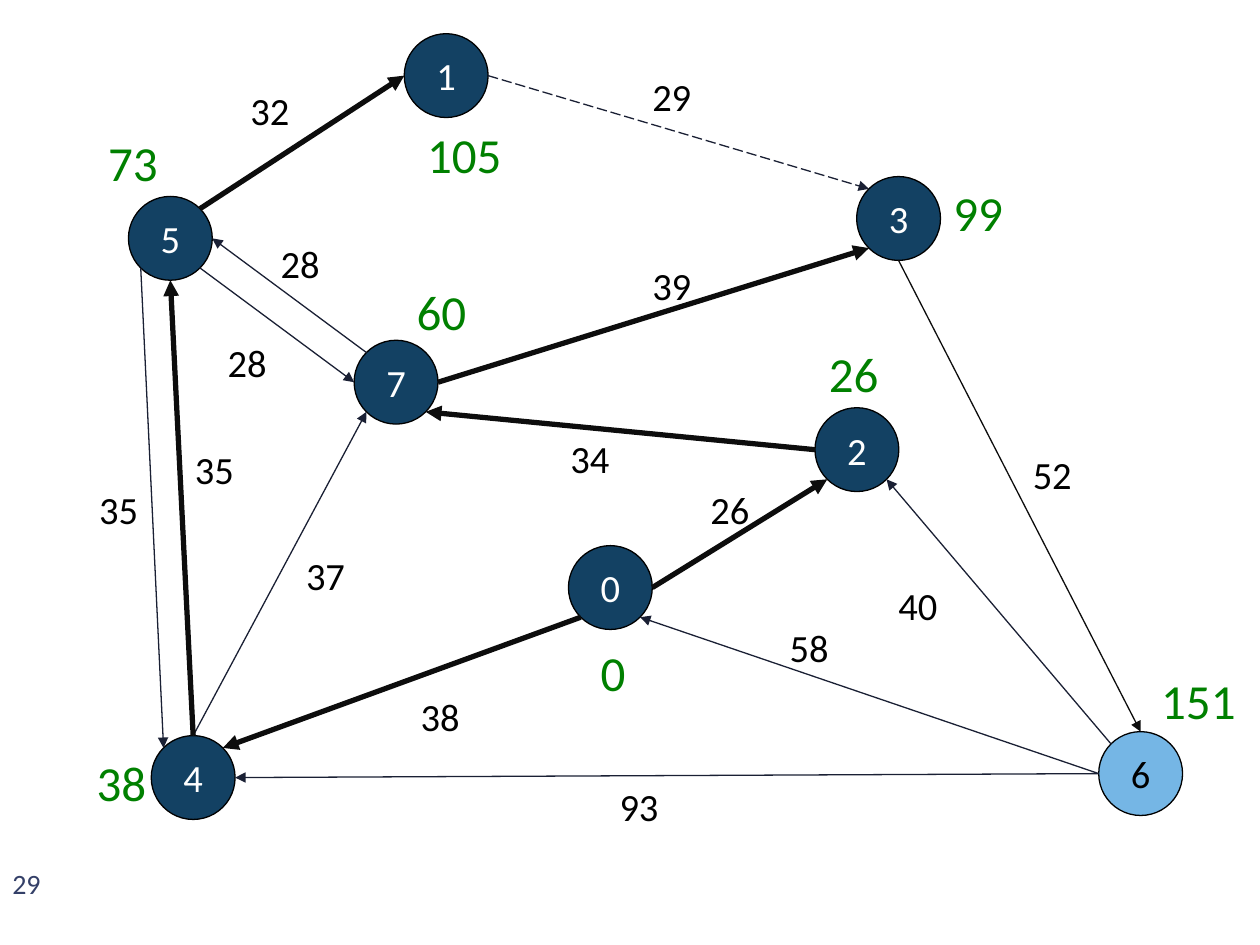
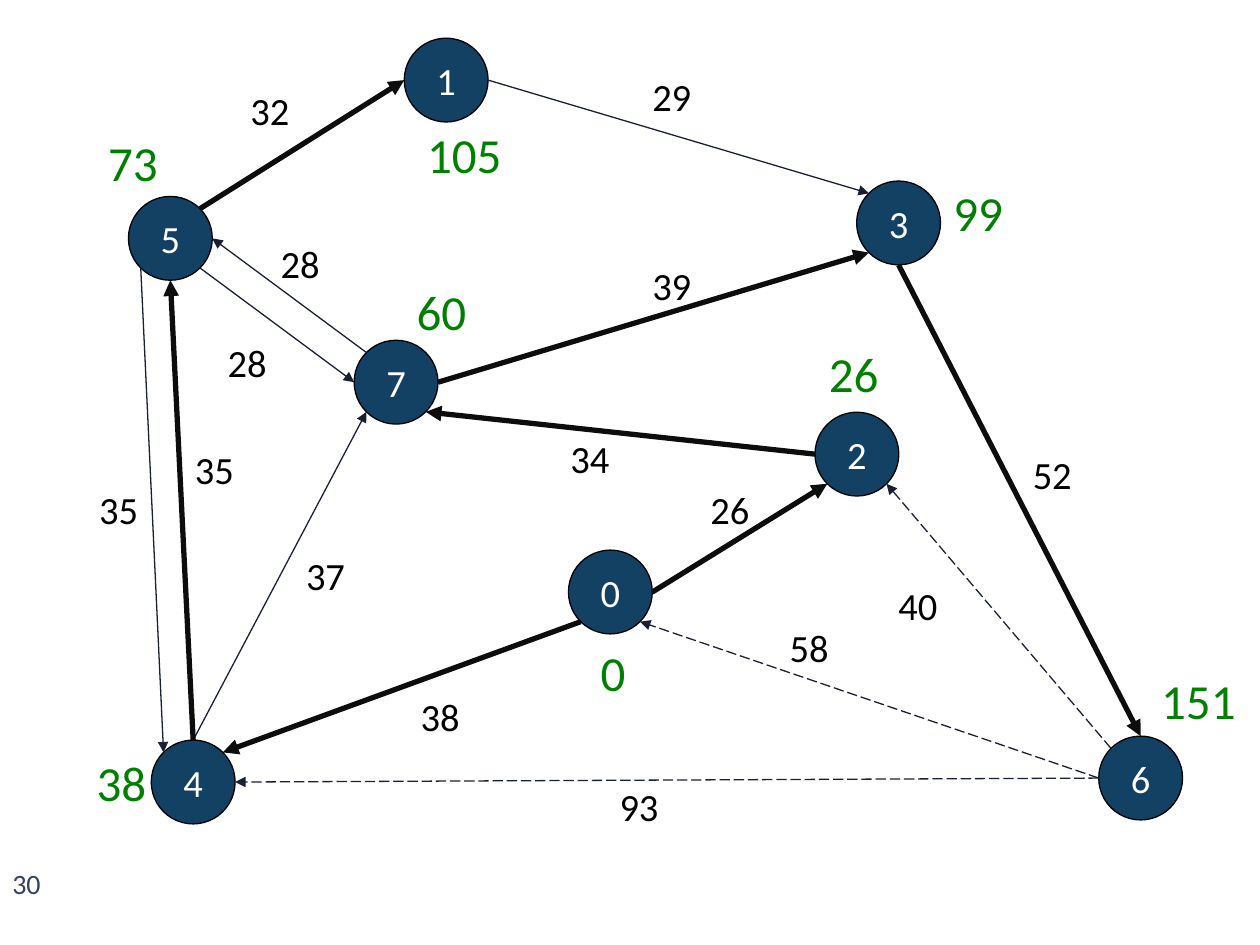
from math import cos, radians, sin

from lxml import etree
from pptx import Presentation
from pptx.dml.color import RGBColor
from pptx.enum.dml import MSO_LINE
from pptx.enum.shapes import MSO_CONNECTOR, MSO_SHAPE
from pptx.enum.text import MSO_ANCHOR, MSO_AUTO_SIZE, PP_ALIGN
from pptx.oxml.ns import qn
from pptx.util import Cm, Pt

OVAL = MSO_SHAPE.OVAL
STRAIGHT = MSO_CONNECTOR.STRAIGHT
LONG_DASH = MSO_LINE.LONG_DASH
MIDDLE = MSO_ANCHOR.MIDDLE
LEFT, CENTER = PP_ALIGN.LEFT, PP_ALIGN.CENTER
FIT_SHAPE = MSO_AUTO_SIZE.SHAPE_TO_FIT_TEXT

FONT = "Calibri"
BLACK, WHITE = "000000", "FFFFFF"
SETTLED_FILL, PENDING_FILL = "134163", "75B6E5"
TREE_COLOR, EDGE_COLOR = "0D0D0D", "1A2034"
DISTANCE_COLOR, NUMBER_COLOR = "008000", "344068"

DIAMETER = 1.69
ANGLES = {"E": 0, "SE": 45, "S": 90, "SW": 135, "W": 180, "NW": 225, "N": 270, "NE": 315}

# vertex: (left, top)
VERTICES = {
    0: (11.46, 11.0), 3: (17.27, 3.56), 4: (3.05, 14.83), 2: (16.43, 8.22),
    5: (2.59, 3.96), 6: (22.15, 14.75), 1: (8.15, 0.68), 7: (7.14, 6.86),
}
FIXED_VERTICES = {5, 7}

# start, side, end, side, weight, weight left, weight top
EDGES = [
    (6, "W", 4, "E", 93, 12.24, 15.67),
    (6, "W", 0, "SE", 58, 15.67, 12.45),
    (6, "NW", 2, "SE", 40, 17.86, 11.61),
    (3, "S", 6, "N", 52, 20.57, 8.97),
    (0, "E", 2, "SW", 26, 14.07, 9.68),
    (2, "W", 7, "SE", 34, 11.25, 8.64),
    (7, "E", 3, "SW", 39, 12.9, 5.16),
    (0, "SW", 4, "NE", 38, 8.23, 13.84),
    (4, "N", 7, "SW", 37, 5.92, 11.0),
    (4, "N", 5, "S", 35, 3.68, 8.86),
    (5, "SW", 4, "NW", 35, 1.75, 9.68),
    (7, "NW", 5, "E", 28, 5.41, 4.72),
    (5, "SE", 7, "W", 28, 4.34, 6.71),
    (5, "NE", 1, "W", 32, 4.8, 1.63),
    (1, "E", 3, "NW", 29, 12.9, 1.35),
]
TREE = {(0, 2), (2, 7), (7, 3), (0, 4), (4, 5), (5, 1), (3, 6)}

# distance, left, top
DISTANCES = [
    (0, 11.86, 12.83), (99, 18.97, 3.56), (105, 8.36, 2.39), (73, 1.93, 2.54),
    (60, 8.15, 5.56), (26, 16.46, 6.81), (151, 23.16, 13.39), (38, 1.7, 15.04),
]

# slide number, vertex being relaxed, vertices still pending, downward shift
STEPS = [(29, 1, {6}, 0), (30, 6, set(), 0.09)]


def color(hex_string):
    """Turn a hex string into a colour."""
    return RGBColor.from_string(hex_string)


def write(shape, text, size=22, font_color=BLACK, align=LEFT, wrap=False):
    """Put one formatted paragraph into a shape."""
    frame = shape.text_frame
    frame.word_wrap = wrap
    paragraph = frame.paragraphs[0]
    paragraph.alignment = align
    run = paragraph.add_run()
    run.text = str(text)
    run.font.name = FONT
    run.font.size = Pt(size)
    run.font.color.rgb = color(font_color)


def add_label(slide, text, left, top, width, height, **text_format):
    """Add a text box sized to its text."""
    box = slide.shapes.add_textbox(Cm(left), Cm(top), Cm(width), Cm(height))
    write(box, text, **text_format)
    box.text_frame.auto_size = FIT_SHAPE


def add_vertex(slide, name, left, top, pending):
    """Draw one numbered vertex of the graph."""
    shape = slide.shapes.add_shape(OVAL, Cm(left), Cm(top), Cm(DIAMETER), Cm(DIAMETER))
    shape.shadow.inherit = False
    shape.fill.solid()
    shape.fill.fore_color.rgb = color(PENDING_FILL if pending else SETTLED_FILL)
    shape.line.color.rgb = color(BLACK)
    shape.line.width = Pt(0.75)
    shape.text_frame.vertical_anchor = MIDDLE
    write(shape, name, font_color=BLACK if pending else WHITE, align=CENTER)


def rim_point(position, side):
    """Find the point on a vertex's rim at a compass side."""
    radius = DIAMETER / 2
    angle = radians(ANGLES[side])
    left, top = position
    return Cm(left + radius * (1 + cos(angle))), Cm(top + radius * (1 + sin(angle)))


def add_arrow(slide, start, end, line_color, width, dashed):
    """Draw a straight arrow between two points."""
    arrow = slide.shapes.add_connector(STRAIGHT, *start, *end)
    arrow.line.color.rgb = color(line_color)
    arrow.line.width = Pt(width)
    if dashed:
        arrow.line.dash_style = LONG_DASH
    properties = arrow.element.find(qn("p:spPr"))
    etree.SubElement(properties.find(qn("a:ln")), qn("a:tailEnd"), type="triangle")
    etree.SubElement(properties, qn("a:effectLst"))


def add_step(presentation, number, relaxed, pending, shift):
    """Add one slide showing the graph at a step of the search."""
    slide = presentation.slides.add_slide(presentation.slide_layouts[6])
    number_box = slide.shapes.add_textbox(Cm(0), Cm(17.35), Cm(1.47), Cm(1.07))
    write(number_box, number, size=16, font_color=NUMBER_COLOR, wrap=True)

    positions = {
        name: (left, top if name in FIXED_VERTICES else top + shift)
        for name, (left, top) in VERTICES.items()
    }
    for name, (left, top) in positions.items():
        add_vertex(slide, name, left, top, name in pending)

    for start, start_side, end, end_side, weight, left, top in EDGES:
        in_tree = (start, end) in TREE
        add_arrow(
            slide,
            rim_point(positions[start], start_side),
            rim_point(positions[end], end_side),
            line_color=TREE_COLOR if in_tree else EDGE_COLOR,
            width=3 if in_tree and end not in pending else 0.75,
            dashed=start == relaxed,
        )
        add_label(slide, weight, left, top, 1.3, 1.19)

    for distance, left, top in DISTANCES:
        width = 0.51 * (len(str(distance)) + 1)
        add_label(slide, distance, left, top, width, 1.45, size=28, font_color=DISTANCE_COLOR)


def main():
    """Build the presentation and save it."""
    presentation = Presentation()
    presentation.slide_width = Cm(25.4)
    presentation.slide_height = Cm(19.05)
    for step in STEPS:
        add_step(presentation, *step)
    presentation.save("out.pptx")


if __name__ == "__main__":
    main()
